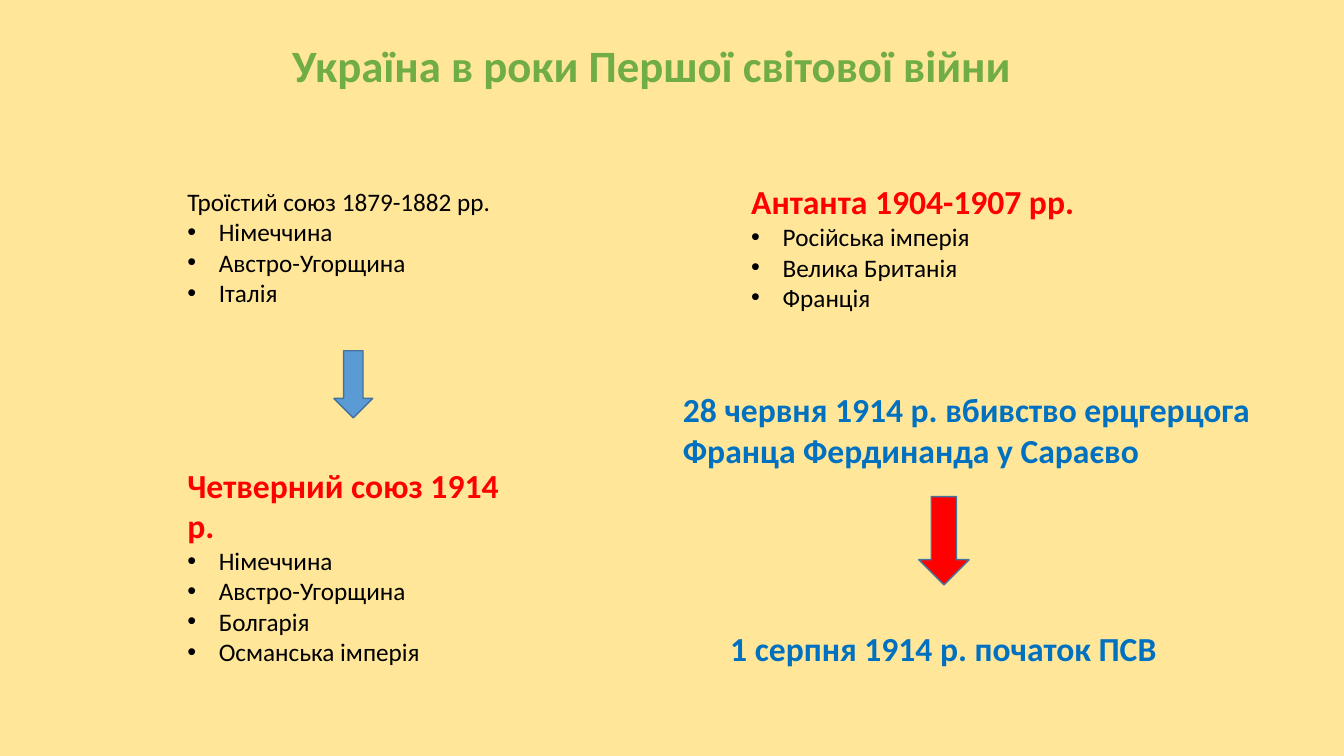
from dataclasses import dataclass

import pptx
import pptx.dml.color
import pptx.enum.shapes
import pptx.enum.text
import pptx.oxml
import pptx.oxml.ns
import pptx.shapes.autoshape
import pptx.slide
import pptx.text.text
import pptx.util

EMU_PER_PX = 9525
SLIDE_WIDTH, SLIDE_HEIGHT = 1280, 720
BULLET_INDENT = 30

Align = pptx.enum.text.PP_ALIGN
Anchor = pptx.enum.text.MSO_ANCHOR


@dataclass(frozen=True)
class Theme:
    font: str = "Calibri"
    background: str = "FFE699"
    title: str = "70AD47"
    body: str = "000000"
    alliance: str = "FF0000"
    event: str = "0070C0"
    change_arrow: str = "5B9BD5"
    war_arrow: str = "FF0000"
    arrow_line: str = "43739E"
    title_size: int = 32
    heading_size: int = 24
    body_size: int = 18


THEME = Theme()


@dataclass(frozen=True)
class Area:
    left: int
    top: int
    width: int
    height: int


@dataclass(frozen=True)
class Alliance:
    area: Area
    heading: str
    members: tuple[str, ...]
    emphasised: bool = True


@dataclass(frozen=True)
class Event:
    area: Area
    text: str
    align: Align = Align.LEFT


@dataclass(frozen=True)
class Arrow:
    area: Area
    fill: str


TITLE_AREA = Area(141, 36, 960, 57)

ALLIANCES = (
    Alliance(Area(169, 173, 319, 126), "Троїстий союз 1879-1882 рр.",
             ("Німеччина", "Австро-Угорщина", "Італія"), emphasised=False),
    Alliance(Area(706, 168, 396, 135), "Антанта 1904-1907 рр.",
             ("Російська імперія", "Велика Британія", "Франція")),
    Alliance(Area(169, 438, 336, 204), "Четверний союз 1914 р.",
             ("Німеччина", "Австро-Угорщина", "Болгарія", "Османська імперія")),
)

EVENTS = (
    Event(Area(641, 366, 585, 87),
          "28 червня 1914 р. вбивство ерцгерцога Франца Фердинанда у Сараєво"),
    Event(Area(656, 593, 485, 48), "1 серпня 1914 р. початок ПСВ", Align.CENTER),
)

ARROWS = (
    Arrow(Area(318, 334, 37, 64), THEME.change_arrow),
    Arrow(Area(875, 473, 48, 84), THEME.war_arrow),
)


def px(length: int) -> pptx.util.Emu:
    return pptx.util.Emu(length * EMU_PER_PX)


def place(area: Area) -> tuple[pptx.util.Emu, ...]:
    return px(area.left), px(area.top), px(area.width), px(area.height)


def rgb(colour: str) -> pptx.dml.color.RGBColor:
    return pptx.dml.color.RGBColor.from_string(colour)


def add_box(slide: pptx.slide.Slide, area: Area,
            anchor: Anchor = Anchor.TOP) -> pptx.text.text.TextFrame:
    frame = slide.shapes.add_textbox(*place(area)).text_frame
    frame.word_wrap = True
    frame.vertical_anchor = anchor
    return frame


def add_bullet(para: pptx.text.text._Paragraph) -> None:
    properties = para._p.get_or_add_pPr()
    properties.set("marL", str(px(BULLET_INDENT)))
    properties.set("indent", str(-px(BULLET_INDENT)))
    for tag, attribute, value in (("a:buFont", "typeface", "Arial"),
                                  ("a:buChar", "char", "•")):
        element = pptx.oxml.parse_xml(
            f'<{tag} {pptx.oxml.ns.nsdecls("a")} {attribute}="{value}"/>')
        properties.append(element)


def write(para: pptx.text.text._Paragraph, text: str, *, size: int, colour: str,
          bold: bool = False, align: Align = Align.LEFT, bullet: bool = False,
          line_spacing: float | None = None) -> None:
    """Fill a paragraph with one formatted span."""
    para.alignment = align
    para.line_spacing = line_spacing
    if bullet:
        add_bullet(para)
    span = para.add_run()
    span.text = text
    span.font.name = THEME.font
    span.font.size = pptx.util.Pt(size)
    span.font.bold = bold
    span.font.color.rgb = rgb(colour)


def add_title(slide: pptx.slide.Slide) -> None:
    frame = add_box(slide, TITLE_AREA, Anchor.BOTTOM)
    write(frame.paragraphs[0], "Україна в роки Першої світової війни",
          size=THEME.title_size, colour=THEME.title, bold=True,
          align=Align.CENTER, line_spacing=0.9)


def add_alliance(slide: pptx.slide.Slide, alliance: Alliance) -> None:
    frame = add_box(slide, alliance.area)
    strong = alliance.emphasised
    write(frame.paragraphs[0], alliance.heading, bold=strong,
          size=THEME.heading_size if strong else THEME.body_size,
          colour=THEME.alliance if strong else THEME.body)
    for member in alliance.members:
        write(frame.add_paragraph(), member, size=THEME.body_size,
              colour=THEME.body, bullet=True)


def add_event(slide: pptx.slide.Slide, event: Event) -> None:
    frame = add_box(slide, event.area)
    write(frame.paragraphs[0], event.text, size=THEME.heading_size,
          colour=THEME.event, bold=True, align=event.align)


def add_arrow(slide: pptx.slide.Slide, arrow: Arrow) -> None:
    shape = slide.shapes.add_shape(
        pptx.enum.shapes.MSO_SHAPE.DOWN_ARROW, *place(arrow.area))
    shape.shadow.inherit = False
    shape.fill.solid()
    shape.fill.fore_color.rgb = rgb(arrow.fill)
    shape.line.color.rgb = rgb(THEME.arrow_line)
    shape.line.width = pptx.util.Pt(1)


def main() -> None:
    deck = pptx.Presentation()
    deck.slide_width, deck.slide_height = px(SLIDE_WIDTH), px(SLIDE_HEIGHT)
    slide = deck.slides.add_slide(deck.slide_layouts[6])
    slide.background.fill.solid()
    slide.background.fill.fore_color.rgb = rgb(THEME.background)

    add_title(slide)
    for alliance in ALLIANCES:
        add_alliance(slide, alliance)
    for event in EVENTS:
        add_event(slide, event)
    for arrow in ARROWS:
        add_arrow(slide, arrow)
    deck.save("out.pptx")


if __name__ == "__main__":
    main()
